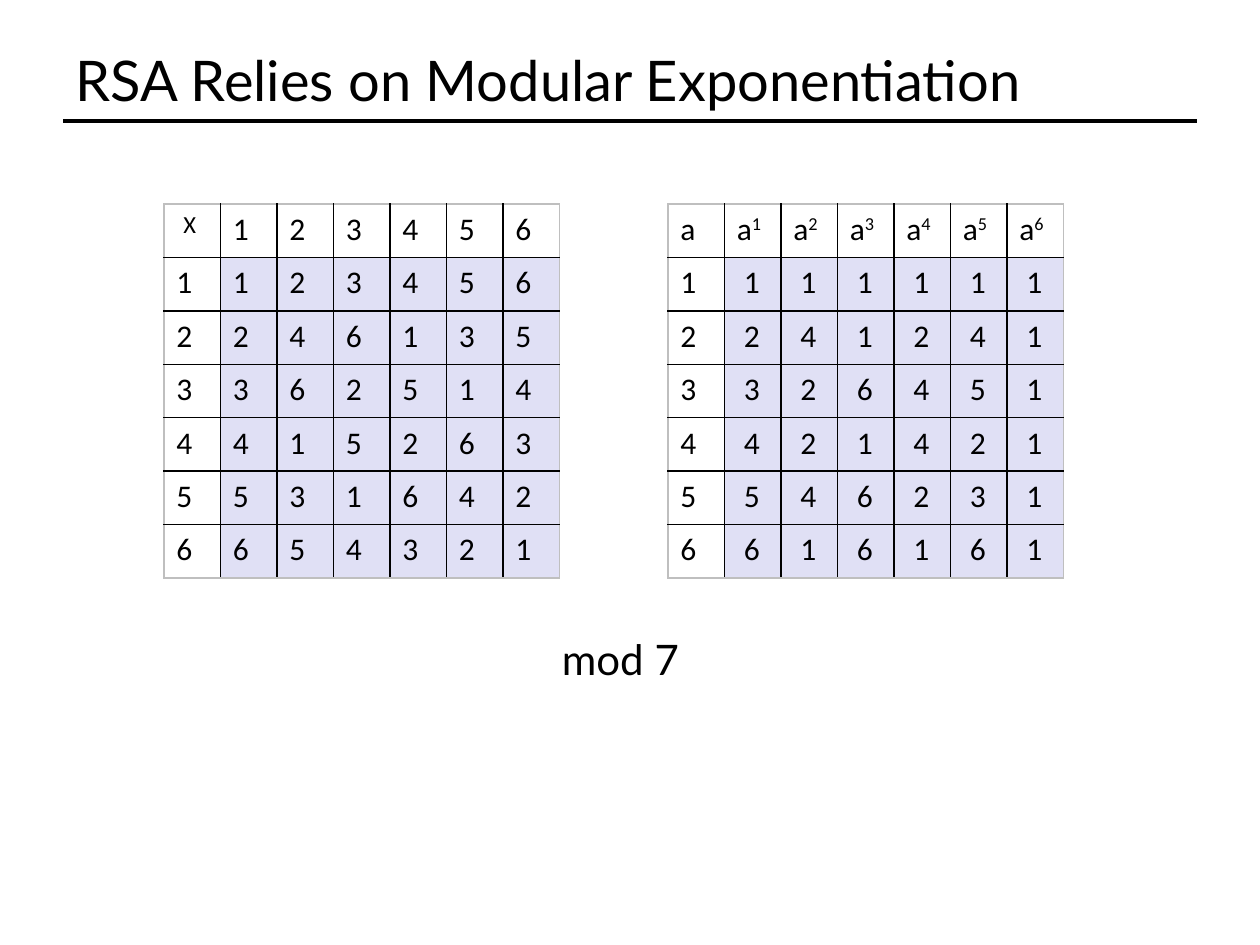
from dataclasses import dataclass

from lxml import etree
from pptx import Presentation
from pptx.dml.color import RGBColor
from pptx.enum import shapes, text
from pptx.oxml import ns
from pptx.util import Pt


@dataclass(frozen=True)
class Theme:
    ink: str = "000000"
    edge: str = "BFBFBF"
    shade: str = "E0E0F5"
    heading_font: str = "Lato"
    table_font: str = "Calibri"
    title_size: int = 32
    label_size: int = 24
    cell_size: int = 18
    symbol_size: int = 14


MODULUS = 7
COL_WIDTH, ROW_HEIGHT = 32.3, 30.55
CELL_INSET, INDENT = 7.2, 4


def add_text(p, content, font, size, color, raised=False):
    r = p.add_run()
    r.text = content
    r.font.name = font
    r.font.size = Pt(size)
    r.font.color.rgb = RGBColor.from_string(color)
    if raised:
        r._r.get_or_add_rPr().set("baseline", "30000")
    return r


def set_borders(cell, colors):
    """Give the cell 1 pt borders; colors run left, right, top, bottom."""
    tcPr = cell._tc.get_or_add_tcPr()
    for i, (side, color) in enumerate(zip("LRTB", colors)):
        ln = etree.Element(ns.qn(f"a:ln{side}"), w=str(Pt(1)))
        fill = etree.SubElement(ln, ns.qn("a:solidFill"))
        etree.SubElement(fill, ns.qn("a:srgbClr"), val=color)
        tcPr.insert(i, ln)


class Deck:
    """Holds the theme and the current slide."""

    def __init__(self, theme):
        self.theme = theme
        self.prs = Presentation()
        self.prs.slide_width, self.prs.slide_height = Pt(720), Pt(540)
        self.s = self.prs.slides.add_slide(self.prs.slide_layouts[5])

    def title(self, content, x, y, w, h):
        sp = self.s.shapes.title
        sp.left, sp.top, sp.width, sp.height = Pt(x), Pt(y), Pt(w), Pt(h)
        tf = sp.text_frame
        tf.vertical_anchor = text.MSO_ANCHOR.MIDDLE
        tf.auto_size = text.MSO_AUTO_SIZE.NONE
        p = tf.paragraphs[0]
        p.alignment = text.PP_ALIGN.LEFT
        t = self.theme
        add_text(p, content, font=t.heading_font, size=t.title_size, color=t.ink)

    def rule(self, x1, x2, y):
        line = self.s.shapes.add_connector(
            shapes.MSO_CONNECTOR.STRAIGHT, Pt(x1), Pt(y), Pt(x2), Pt(y))
        line.line.color.rgb = RGBColor.from_string(self.theme.ink)
        line.line.width = Pt(2)
        etree.SubElement(line._element.spPr, ns.qn("a:effectLst"))

    def label(self, content, x, y, w, h):
        tf = self.s.shapes.add_textbox(Pt(x), Pt(y), Pt(w), Pt(h)).text_frame
        tf.word_wrap = False
        tf.auto_size = text.MSO_AUTO_SIZE.SHAPE_TO_FIT_TEXT
        t = self.theme
        add_text(tf.paragraphs[0], content, font=t.heading_font,
                 size=t.label_size, color=t.ink)

    def table(self, x, y, corner, corner_size, base, value, indented):
        """Tabulate value(row, col); base is the letter raised to each column's power.

        indented names the part set further in: "corner" or "body".
        """
        t = self.theme
        n = MODULUS
        tbl = self.s.shapes.add_table(
            n, n, Pt(x), Pt(y), Pt(n * COL_WIDTH), Pt(n * ROW_HEIGHT)).table
        tbl.first_row = tbl.horz_banding = False
        for col in tbl.columns:
            col.width = Pt(COL_WIDTH)
        for row in tbl.rows:
            row.height = Pt(ROW_HEIGHT)
        for i in range(n):
            for j in range(n):
                cell = tbl.cell(i, j)
                part = "body" if i and j else "header" if i or j else "corner"
                inset = CELL_INSET + (INDENT if part == indented else 0)
                cell.margin_left = Pt(inset)
                outer = (j == 0, j == n - 1, i == 0, i == n - 1)
                set_borders(cell, [t.edge if o else t.ink for o in outer])
                if part == "body":
                    cell.fill.solid()
                    cell.fill.fore_color.rgb = RGBColor.from_string(t.shade)
                else:
                    cell.fill.background()
                p = cell.text_frame.paragraphs[0]
                style = dict(font=t.table_font, size=t.cell_size, color=t.ink)
                if part == "corner":
                    add_text(p, corner, **{**style, "size": corner_size})
                elif part == "body":
                    add_text(p, str(value(i, j)), **style)
                elif i == 0 and base:
                    add_text(p, base, **style)
                    add_text(p, str(j), raised=True, **style)
                else:
                    add_text(p, str(i or j), **style)


def main():
    theme = Theme()
    deck = Deck(theme)
    deck.rule(36, 684, 69.3)
    deck.title("RSA Relies on Modular Exponentiation", 36, 21.6, 648, 47.5)
    deck.table(93.6, 116.6, corner="X", corner_size=theme.symbol_size, base="",
               value=lambda a, b: a * b % MODULUS, indented="corner")
    deck.table(381.6, 116.6, corner="a", corner_size=theme.cell_size, base="a",
               value=lambda a, e: pow(a, e, MODULUS), indented="body")
    deck.label(f"mod {MODULUS}", 314, 358.6, 82, 36)
    deck.prs.save("out.pptx")


if __name__ == "__main__":
    main()
